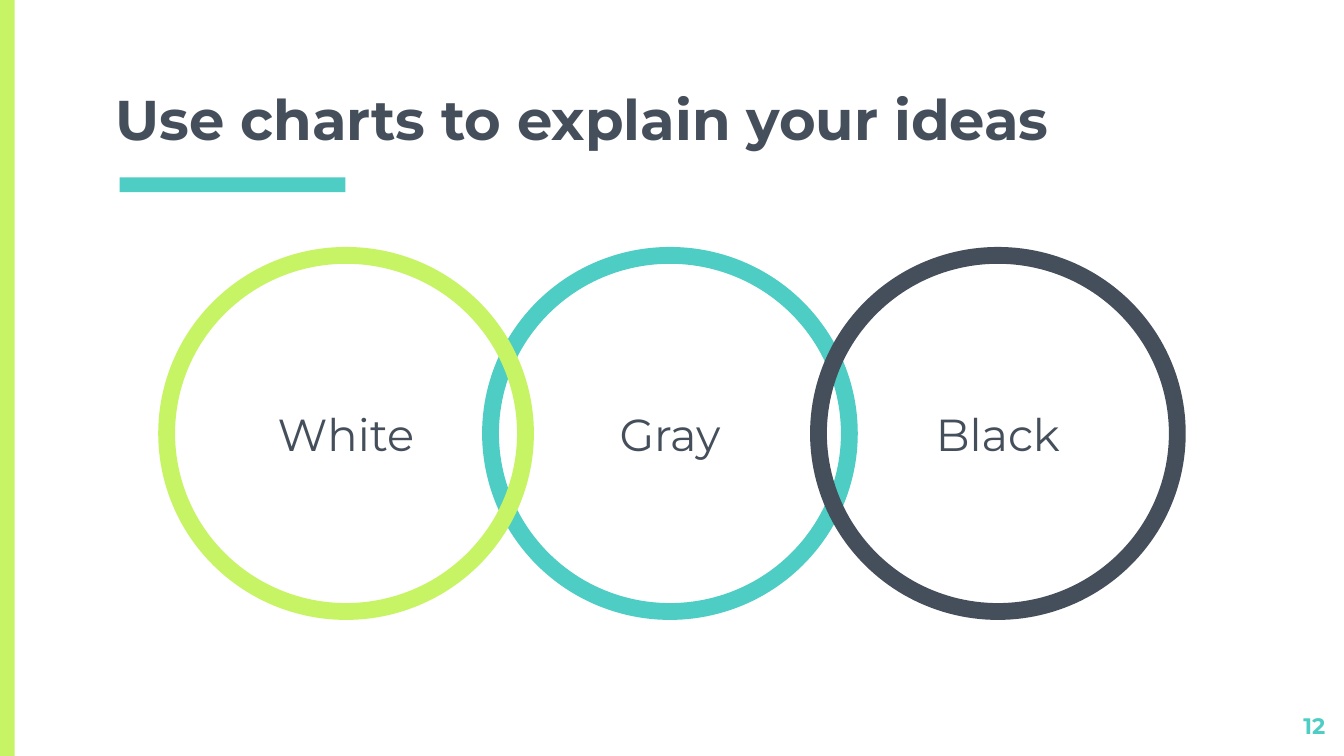
from dataclasses import dataclass

from pptx import Presentation
from pptx.dml.color import RGBColor
from pptx.enum.shapes import MSO_SHAPE as Shape
from pptx.enum.text import MSO_ANCHOR as Anchor, PP_ALIGN as Align
from pptx.util import Inches, Pt


@dataclass(frozen=True)
class Theme:
    font: str = "Montserrat"
    lime: str = "C7F464"
    teal: str = "4ECDC4"
    slate: str = "454F5B"
    white: str = "FFFFFF"
    title_size: int = 30
    label_size: int = 24
    number_size: int = 12
    ring_width: int = 9


THEME = Theme()
SLIDE_WIDTH = 10
SLIDE_HEIGHT = SLIDE_WIDTH * 9 / 16

TITLE = "Use charts to explain your ideas"
PAGE_NUMBER = "12"
BARS = [  # left, top, width, height, colour
    (0, 0, 0.11, SLIDE_HEIGHT, THEME.lime),
    (0.89, 1.32, 1.68, 0.11, THEME.teal),
]
RINGS = [  # label, left, colour; from back to front
    ("Gray", 3.65, THEME.teal),
    ("White", 1.24, THEME.lime),
    ("Black", 6.09, THEME.slate),
]
RING_TOP, RING_WIDTH, RING_HEIGHT = 1.9, 2.67, 2.65


def color(value):
    return RGBColor.from_string(value)


def box(left, top, width, height):
    return [Inches(value) for value in (left, top, width, height)]


def write(shape, text, *, size, fill=THEME.slate, bold=False,
          align=Align.LEFT, anchor=Anchor.TOP):
    frame = shape.text_frame
    frame.word_wrap = True
    frame.vertical_anchor = anchor
    frame.margin_left = frame.margin_right = Inches(0.1)
    frame.margin_top = frame.margin_bottom = Inches(0.1)
    paragraph = frame.paragraphs[0]
    paragraph.alignment = align
    run = paragraph.add_run()
    run.text = text
    run.font.name = THEME.font
    run.font.size = Pt(size)
    run.font.bold = bold
    run.font.color.rgb = color(fill)


def add_bar(slide, left, top, width, height, fill):
    bar = slide.shapes.add_shape(Shape.RECTANGLE, *box(left, top, width, height))
    bar.shadow.inherit = False
    bar.fill.solid()
    bar.fill.fore_color.rgb = color(fill)
    bar.line.fill.background()


def add_ring(slide, label, left, outline):
    ring = slide.shapes.add_shape(
        Shape.OVAL, *box(left, RING_TOP, RING_WIDTH, RING_HEIGHT))
    ring.shadow.inherit = False
    ring.fill.background()
    ring.line.color.rgb = color(outline)
    ring.line.width = Pt(THEME.ring_width)
    write(ring, label, size=THEME.label_size,
          align=Align.CENTER, anchor=Anchor.MIDDLE)


def main():
    presentation = Presentation()
    presentation.slide_width = Inches(SLIDE_WIDTH)
    presentation.slide_height = Inches(SLIDE_HEIGHT)
    slide = presentation.slides.add_slide(presentation.slide_layouts[5])
    slide.background.fill.solid()
    slide.background.fill.fore_color.rgb = color(THEME.white)

    for bar in BARS:
        add_bar(slide, *bar)

    title = slide.shapes.title
    title.left, title.top, title.width, title.height = box(0.76, 0.69, 8.49, 0.54)
    write(title, TITLE, size=THEME.title_size, bold=True, anchor=Anchor.BOTTOM)

    for ring in RINGS:
        add_ring(slide, *ring)

    number = slide.shapes.add_textbox(*box(9.36, 5.2, 0.6, 0.34))
    write(number, PAGE_NUMBER, size=THEME.number_size, fill=THEME.teal,
          bold=True, align=Align.RIGHT)

    presentation.save("out.pptx")


if __name__ == "__main__":
    main()
